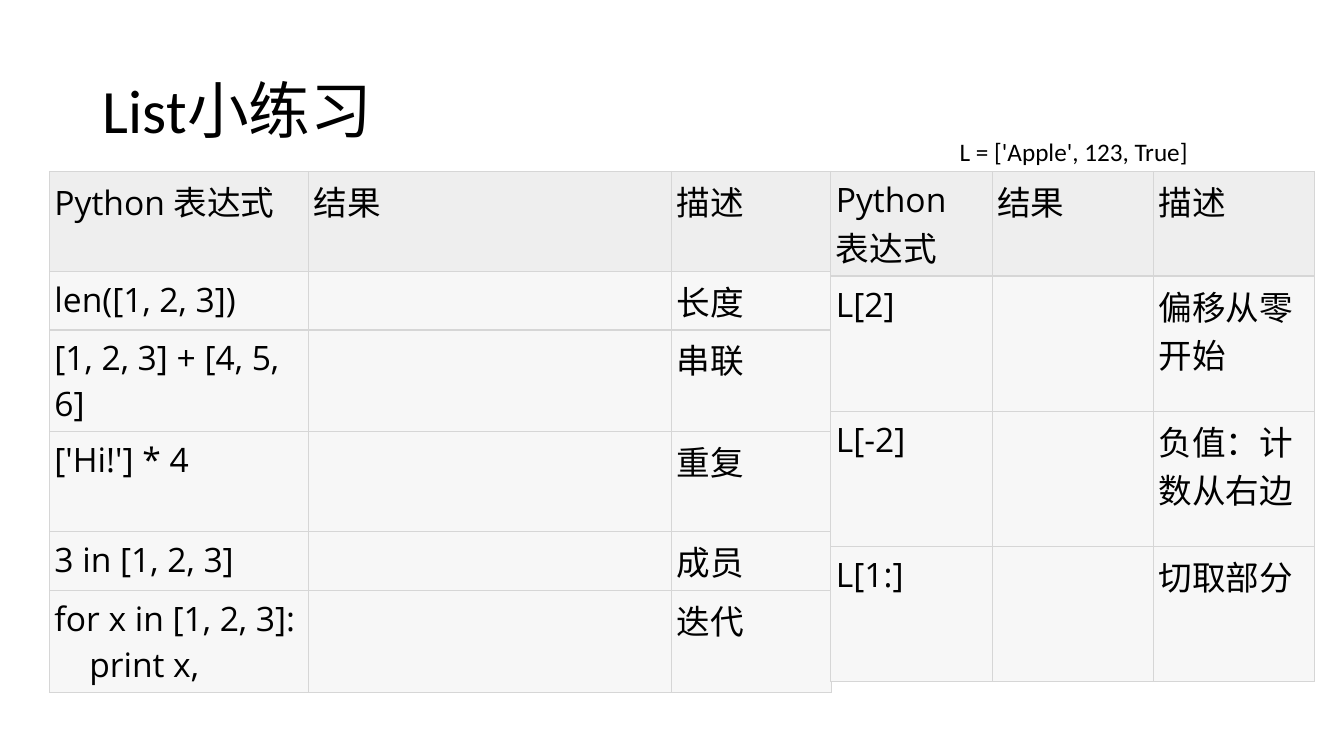
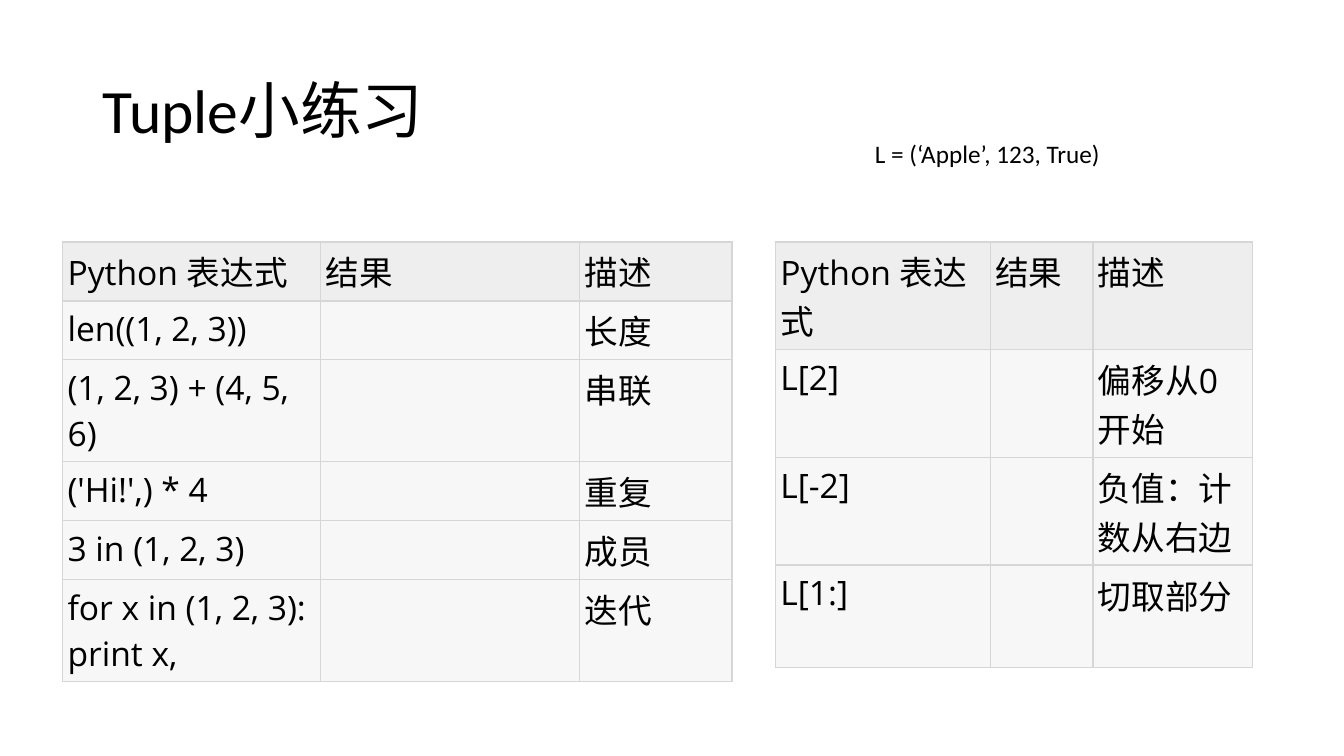
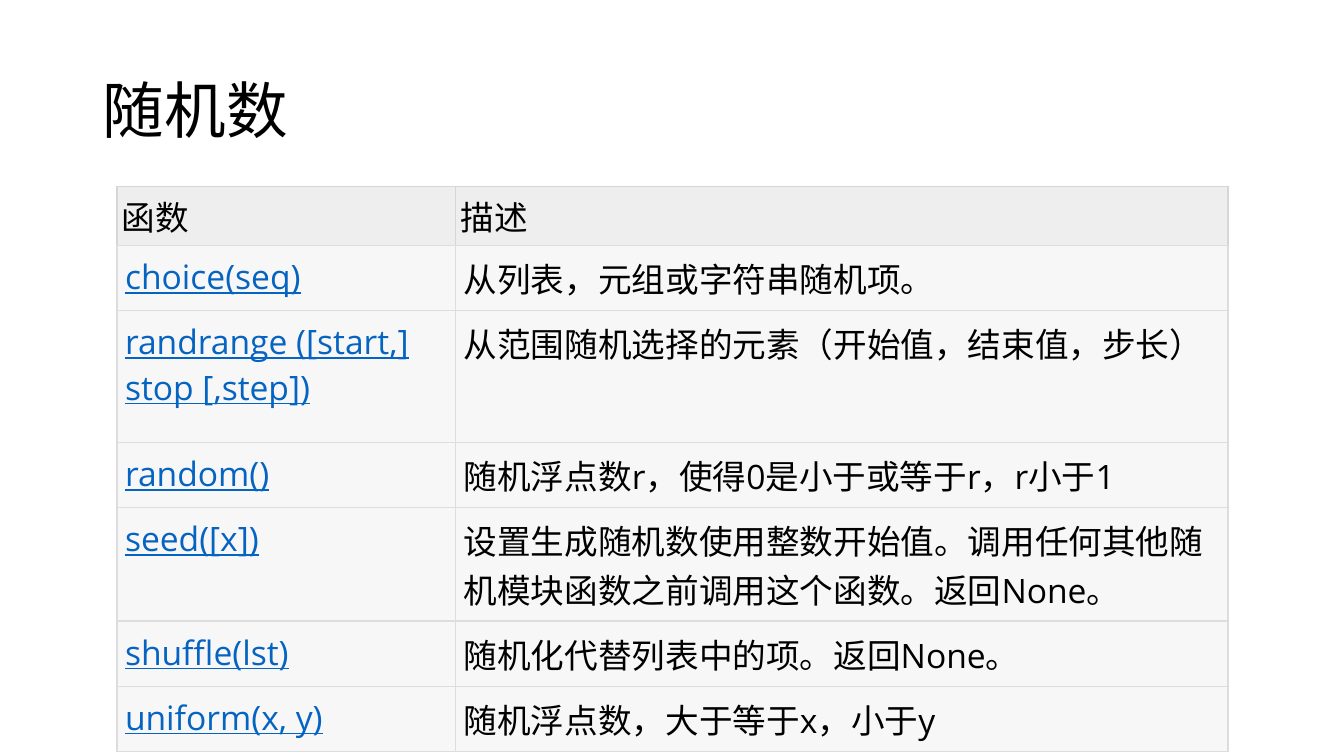
from lxml import etree
from pptx import Presentation
from pptx.dml.color import RGBColor
from pptx.enum.text import MSO_ANCHOR, MSO_AUTO_SIZE, PP_ALIGN
from pptx.oxml.ns import qn
from pptx.util import Pt

PX = 9144  # EMU in one px, at 100 px to the inch
WIDTH, HEIGHT = 1333, 750
TITLE_BOX = (92, 40, 1150, 145)
TITLE_ONLY = 5

LEFT, MIDDLE = PP_ALIGN.LEFT, MSO_ANCHOR.MIDDLE
FIXED, GROW = MSO_AUTO_SIZE.NONE, MSO_AUTO_SIZE.SHAPE_TO_FIT_TEXT

BLACK = RGBColor(0x00, 0x00, 0x00)
LINK_BLUE = RGBColor(0x05, 0x63, 0xC1)
HEAD_FILL = RGBColor(0xEE, 0xEE, 0xEE)
BODY_FILL = RGBColor(0xF7, 0xF7, 0xF7)
HEAD_LINE = RGBColor(0xD6, 0xD6, 0xD6)
PALE_LINE = RGBColor(0xDD, 0xDD, 0xDD)
TITLE_FONT, TABLE_FONT = "Calibri", "Open Sans"

EXERCISE_HEAD = ("Python 表达式", "结果", "描述")

SLIDES = [
    {
        "title": "List小练习",
        "note": ("L = ['Apple', 123, True]", (942, 130, 249, 40)),
        "tables": [
            {
                "at": (49, 170),
                "columns": (257, 360, 159),
                "heights": (99, 55, 99, 99, 55, 99),
                "rows": [
                    EXERCISE_HEAD,
                    ("len([1, 2, 3])", "", "长度"),
                    ("[1, 2, 3] + [4, 5, 6]", "", "串联"),
                    ("['Hi!'] * 4", "", "重复"),
                    ("3 in [1, 2, 3]", "", "成员"),
                    ("for x in [1, 2, 3]:\n    print x,", "", "迭代"),
                ],
            },
            {
                "at": (824, 170),
                "columns": (160, 160, 160),
                "heights": (103, 134, 134, 134),
                "rows": [
                    EXERCISE_HEAD,
                    ("L[2]", "", "偏移从零开始"),
                    ("L[-2]", "", "负值：计数从右边"),
                    ("L[1:]", "", "切取部分"),
                ],
            },
        ],
    },
    {
        "title": "Tuple小练习",
        "note": ("L = (‘Apple’, 123, True)", (858, 132, 246, 40)),
        "tables": [
            {
                "at": (62, 240),
                "columns": (256, 257, 151),
                "heights": (58, 58, 101, 58, 58, 101),
                "rows": [
                    EXERCISE_HEAD,
                    ("len((1, 2, 3))", "", "长度"),
                    ("(1, 2, 3) + (4, 5, 6)", "", "串联"),
                    ("('Hi!',) * 4", "", "重复"),
                    ("3 in (1, 2, 3)", "", "成员"),
                    ("for x in (1, 2, 3): print x,", "", "迭代"),
                ],
            },
            {
                "at": (769, 240),
                "columns": (213, 102, 158),
                "heights": (106, 106, 106, 102),
                "rows": [
                    EXERCISE_HEAD,
                    ("L[2]", "", "偏移从0开始"),
                    ("L[-2]", "", "负值：计数从右边"),
                    ("L[1:]", "", "切取部分"),
                ],
            },
        ],
    },
    {
        "title": "随机数",
        "tables": [
            {
                "at": (116, 185),
                "columns": (336, 766),
                "heights": (58, 58, 131, 58, 107, 58, 58),
                "body_margin": 8,
                "body_line": PALE_LINE,
                "linked": True,
                "rows": [
                    ("函数", "描述"),
                    ("choice(seq)", "从列表，元组或字符串随机项。"),
                    ("randrange ([start,] stop [,step])",
                     "从范围随机选择的元素（开始值，结束值，步长）"),
                    ("random()", "随机浮点数r，使得0是小于或等于r，r小于1"),
                    ("seed([x])",
                     "设置生成随机数使用整数开始值。调用任何其他随机模块函数之前调用这个函数。返回None。"),
                    ("shuffle(lst)", "随机化代替列表中的项。返回None。"),
                    ("uniform(x, y)", "随机浮点数，大于等于x，小于y"),
                ],
            },
        ],
    },
]


def emu(lengths):
    return [length * PX for length in lengths]


def write(frame, text, font=TITLE_FONT, size=18, color=BLACK, underline=False, spacing=None):
    para = frame.paragraphs[0]
    para.text = text
    para.alignment = LEFT
    if spacing:
        para.line_spacing = spacing
    for span in para.runs:
        span.font.name = font
        span.font.size = Pt(size)
        span.font.color.rgb = color
        if underline:
            span.font.underline = True


def outline(cell, color):
    """Draw a 1 pt line on all four sides of a cell."""
    properties = cell._tc.get_or_add_tcPr()
    for position, side in enumerate(("lnL", "lnR", "lnT", "lnB")):
        line = etree.Element(qn(f"a:{side}"), w=str(Pt(1)))
        fill = etree.SubElement(line, qn("a:solidFill"))
        etree.SubElement(fill, qn("a:srgbClr"), val=str(color))
        properties.insert(position, line)


def add_grid(slide, at, columns, heights, rows, body_margin=5, body_line=HEAD_LINE, linked=False):
    size = (sum(columns), sum(heights))
    table = slide.shapes.add_table(len(rows), len(columns), *emu(at + size)).table
    table.first_row = table.horz_banding = False
    for column, width in zip(table.columns, emu(columns)):
        column.width = width
    for row, height in zip(table.rows, emu(heights)):
        row.height = height
    for r, texts in enumerate(rows):
        is_head = r == 0
        margin = (5 if is_head else body_margin) * PX
        for c, text in enumerate(texts):
            cell = table.cell(r, c)
            cell.margin_left = cell.margin_right = margin
            cell.margin_top = cell.margin_bottom = margin
            cell.fill.solid()
            cell.fill.fore_color.rgb = HEAD_FILL if is_head else BODY_FILL
            outline(cell, HEAD_LINE if is_head else body_line)
            is_link = linked and c == 0 and not is_head
            if text:
                write(cell.text_frame, text, font=TABLE_FONT, size=24,
                      color=LINK_BLUE if is_link else BLACK, underline=is_link)


def add_title(slide, text):
    title = slide.shapes.title
    title.left, title.top, title.width, title.height = emu(TITLE_BOX)
    frame = title.text_frame
    frame.auto_size = FIXED
    frame.vertical_anchor = MIDDLE
    write(frame, text, size=44, spacing=0.9)


def add_note(slide, text, place):
    frame = slide.shapes.add_textbox(*emu(place)).text_frame
    frame.word_wrap = False
    frame.auto_size = GROW
    write(frame, text)


def main():
    deck = Presentation()
    deck.slide_width, deck.slide_height = emu((WIDTH, HEIGHT))
    for content in SLIDES:
        slide = deck.slides.add_slide(deck.slide_layouts[TITLE_ONLY])
        add_title(slide, content["title"])
        for grid in content["tables"]:
            add_grid(slide, **grid)
        if "note" in content:
            add_note(slide, *content["note"])
    deck.save("out.pptx")


if __name__ == "__main__":
    main()
